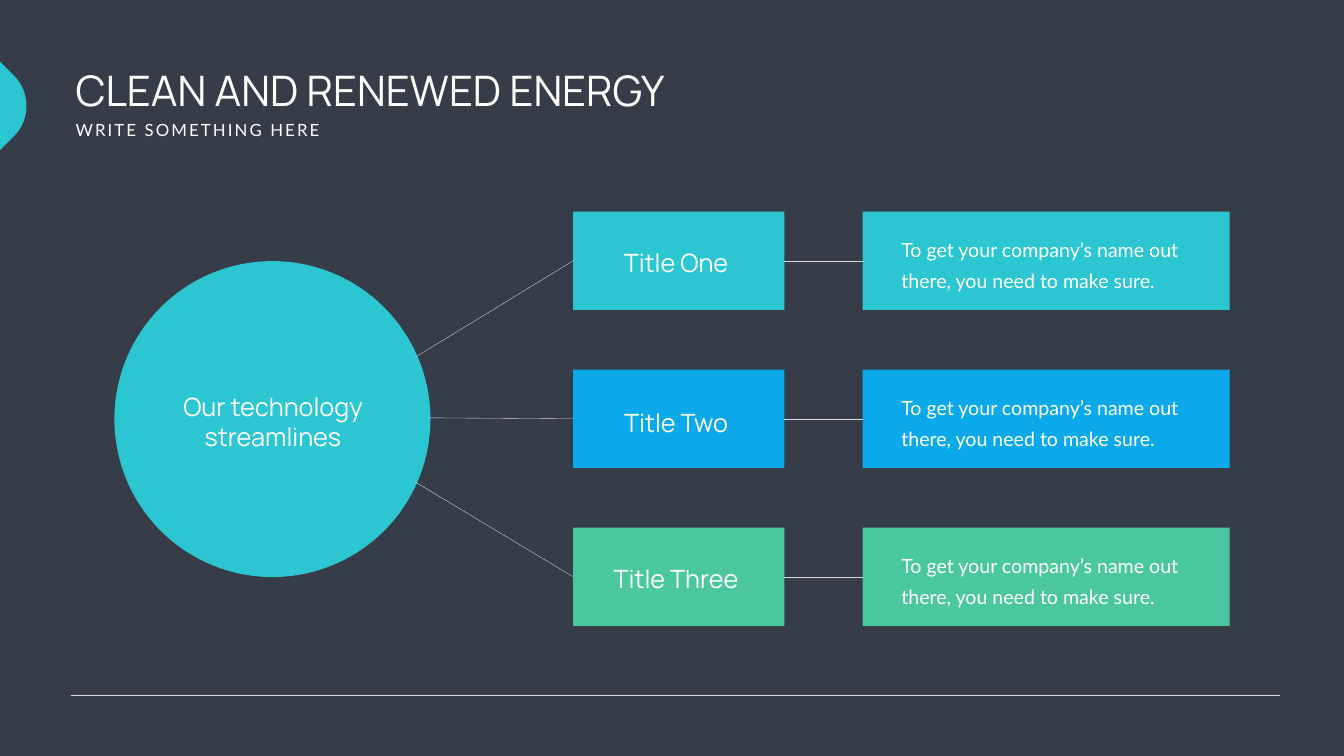
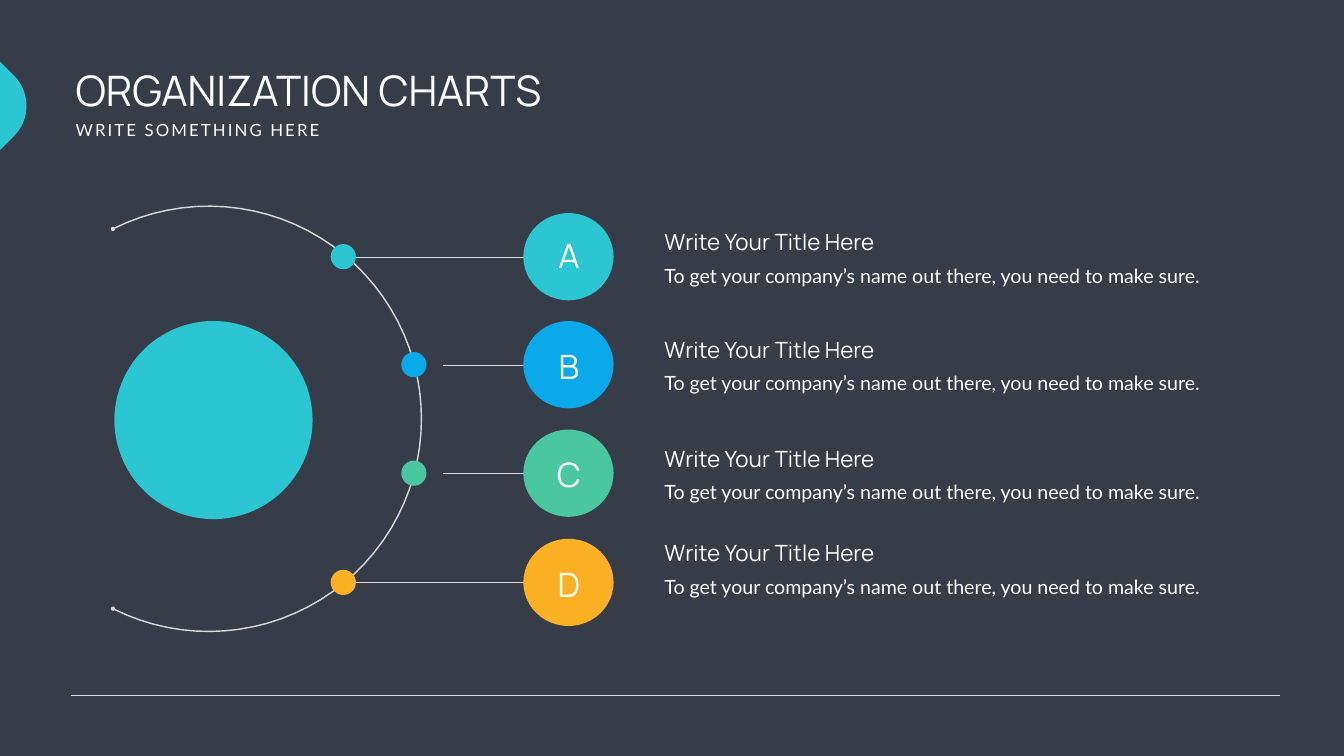
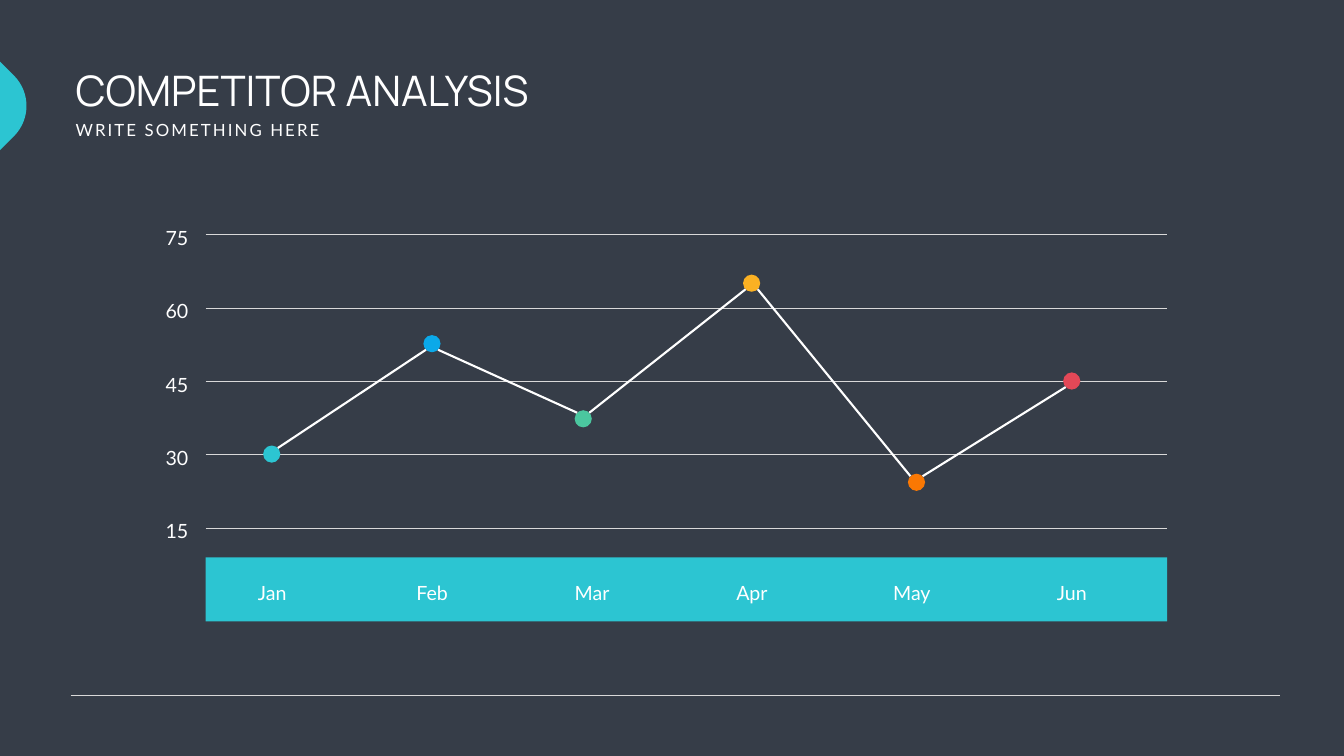
from dataclasses import dataclass
from math import copysign, cos, radians, sin

from lxml import etree
from pptx import Presentation
from pptx.dml.color import RGBColor
from pptx.enum.shapes import MSO_CONNECTOR as CONN, MSO_SHAPE as SHAPE
from pptx.enum.text import MSO_AUTO_SIZE as AUTOSIZE, PP_ALIGN as ALIGN
from pptx.oxml.ns import qn
from pptx.util import Pt


@dataclass(frozen=True)
class Theme:
    bg: str = "363D48"
    white: str = "FFFFFF"
    rule: str = "D9D9D9"
    teal: str = "2CC5D2"
    blue: str = "0BA9E9"
    green: str = "4BC79F"
    amber: str = "FBB123"
    orange: str = "FA7803"
    red: str = "E34857"
    head_font: str = "Manrope"
    body_font: str = "Lato"
    title: int = 60
    letter: int = 48
    label: int = 36
    item: int = 32
    body: int = 28
    subtitle: int = 24
    leading: int = 43


T = Theme()

# Content
SUBTITLE = "WRITE SOMETHING HERE"
BLURB = "To get your company’s name out there, you need to make sure."

ENERGY_TITLE = "CLEAN AND RENEWED ENERGY"
HUB = "Our technology streamlines"
# label, colour, label top, spoke end on the hub
BRANCHES = [
    ("Title One", T.teal, 350, (592.6, 510.5)),
    ("Title Two", T.blue, 578.2, (612.7, 596.9)),
    ("Title Three", T.green, 801.4, (592.6, 688.3)),
]

ORG_TITLE = "ORGANIZATION CHARTS"
ITEM = "Write Your Title Here"
# letter, colour, dot left, line start, row centre, letter top, item top
ORG_ROWS = [
    ("A", T.teal, 472.3, 508.3, 366.7, 332.6, 322.6),
    ("B", T.blue, 573.1, 632.9, 521, 491, 475.9),
    ("C", T.green, 573.1, 632.9, 676, 645.1, 632.2),
    ("D", T.amber, 472.3, 508.3, 832, 801.4, 766.8),
]

ANALYSIS_TITLE = "COMPETITOR ANALYSIS"
SCALE = ["75", "60", "45", "30", "15"]
# month, dot centre, dot colour
MONTHS = [
    ("Jan", (388.1, 648.7), T.teal),
    ("Feb", (617, 491), T.blue),
    ("Mar", (833, 598.3), T.green),
    ("Apr", (1073.5, 404.6), T.amber),
    ("May", (1309, 689), T.orange),
    ("Jun", (1530.7, 544.3), T.red),
]


# Drawing helpers
def rgb(color):
    return RGBColor.from_string(color)


def add_text(s, text, x, y, w, h, *, size=T.body, font=T.body_font,
             align=ALIGN.LEFT, wrap=True, leading=None, spacing=None):
    tf = s.shapes.add_textbox(Pt(x), Pt(y), Pt(w), Pt(h)).text_frame
    tf.word_wrap = wrap
    tf.auto_size = AUTOSIZE.SHAPE_TO_FIT_TEXT
    p = tf.paragraphs[0]
    p.alignment = align
    if leading:
        p.line_spacing = Pt(leading)
    r = p.add_run()
    r.text = text
    r.font.size, r.font.name = Pt(size), font
    r.font.color.rgb = rgb(T.white)
    if spacing:
        r._r.get_or_add_rPr().set("spc", str(spacing * 100))


def paint(sp, color):
    sp.fill.solid()
    sp.fill.fore_color.rgb = rgb(color)
    sp.line.fill.background()
    sp.shadow.inherit = False
    return sp


def add_block(s, kind, x, y, w, h, color):
    return paint(s.shapes.add_shape(kind, Pt(x), Pt(y), Pt(w), Pt(h)), color)


def add_line(s, x1, y1, x2, y2, color=T.rule, width=0.5):
    ln = s.shapes.add_connector(CONN.STRAIGHT, Pt(x1), Pt(y1), Pt(x2), Pt(y2))
    ln.line.color.rgb = rgb(color)
    ln.line.width = Pt(width)
    etree.SubElement(ln._element.spPr, qn("a:effectLst"))
    return ln


def arc_points(cx, cy, radius, start, end, steps=60):
    angles = [radians(start + (end - start) * i / steps) for i in range(steps + 1)]
    return [(cx + radius * cos(a), cy + radius * sin(a)) for a in angles]


def add_outline(s, points, close):
    pts = [(Pt(x), Pt(y)) for x, y in points]
    builder = s.shapes.build_freeform(*pts[0])
    builder.add_line_segments(pts[1:], close=close)
    return builder.convert_to_shape()


def new_slide(prs, title):
    """Background, title pair, side tab and footer rule."""
    s = prs.slides.add_slide(prs.slide_layouts[6])
    s.background.fill.solid()
    s.background.fill.fore_color.rgb = rgb(T.bg)
    add_text(s, title, 100.8, 89.3, 1156.3, 80, size=T.title, font=T.head_font)
    add_text(s, SUBTITLE, 100.8, 167.8, 370, 36, size=T.subtitle, wrap=False, spacing=3)
    x, y, side, radius = -44.64, 106.56, 89.3, 61.2
    corner = arc_points(x + radius, y + side - radius, radius, 180, 90)
    tab = paint(add_outline(s, [(x, y), *corner, (x + side, y + side)], True), T.teal)
    tab.rotation = 225
    add_line(s, 100.8, 992.9, 1828.8, 992.9)
    return s


# Slides
def energy_slide(prs):
    s = new_slide(prs, ENERGY_TITLE)
    top, pitch, height = 302.4, 225.7, 140.4
    add_block(s, SHAPE.OVAL, 163.4, 373, 451.4, 451.4, T.teal)
    add_text(s, HUB, 242.6, 555.8, 294.5, 94.3, size=T.label, font=T.head_font,
             align=ALIGN.CENTER)
    for i, (label, color, label_top, spoke) in enumerate(BRANCHES):
        y = top + i * pitch
        mid = y + height / 2
        name = add_block(s, SHAPE.RECTANGLE, 818.6, y, 301.7, height, color)
        detail = add_block(s, SHAPE.RECTANGLE, 1231.9, y, 524.2, height, color)
        link = add_line(s, 1120.3, mid, 1231.9, mid)
        link.begin_connect(name, 3)
        link.end_connect(detail, 1)
        add_line(s, 818.6, mid, *spoke).begin_connect(name, 1)
        add_text(s, label, 842.4, label_top, 246.2, 51, size=T.label,
                 font=T.head_font, align=ALIGN.CENTER)
        add_text(s, BLURB, 1280.2, y + 25.2, 427.7, 90, leading=T.leading)


def org_slide(prs):
    s = new_slide(prs, ORG_TITLE)
    # Open ring with a round end on each side
    ring = add_outline(s, arc_points(298.1, 598.3, 303.8, 116.75, -116.75), False)
    ring.fill.background()
    ring.line.color.rgb = rgb(T.rule)
    ring.line.width = Pt(2)
    ring.shadow.inherit = False
    for end in ("a:headEnd", "a:tailEnd"):
        etree.SubElement(ring.line._get_or_add_ln(), qn(end), type="oval")
    add_block(s, SHAPE.OVAL, 163.4, 458.6, 283, 283, T.teal)

    dot, badge_w, badge_h = 36, 128.9, 124.6
    for letter, color, dot_x, line_x, mid, letter_top, item_top in ORG_ROWS:
        add_line(s, line_x, mid, 786.2, mid)
        add_block(s, SHAPE.OVAL, dot_x, mid - dot / 2, dot, dot, color)
        add_block(s, SHAPE.OVAL, 747.4, mid - badge_h / 2, badge_w, badge_h, color)
        add_text(s, letter, 761.8, letter_top, 101.5, 65.5, size=T.letter,
                 font=T.head_font, align=ALIGN.CENTER)
        add_text(s, ITEM, 941.8, item_top, 352.8, 46, size=T.item,
                 font=T.head_font, wrap=False)
        add_text(s, BLURB, 941.8, item_top + 41, 816.5, 46.8, leading=T.leading)


def analysis_slide(prs):
    s = new_slide(prs, ANALYSIS_TITLE)
    left, width, label_w, label_h = 293.8, 1373, 83.5, 46.8
    centred = dict(align=ALIGN.CENTER, leading=T.leading)
    # Scale and month band
    for i, value in enumerate(SCALE):
        y = 334.8 + i * 104.8
        add_line(s, left, y, left + width, y)
        add_text(s, value, 211, y - 25.2, label_w, label_h, **centred)
    add_block(s, SHAPE.RECTANGLE, left, 796.3, width, 91.4, T.teal)
    # Dots, then the segments between their facing edges
    dot = 24.5
    for i, (month, (cx, cy), color) in enumerate(MONTHS):
        add_text(s, month, 347 + i * 228.4, 817.2, label_w, label_h, **centred)
        add_block(s, SHAPE.OVAL, cx - dot / 2, cy - dot / 2, dot, dot, color)
    inset = dot / 2 * cos(radians(45))
    for (_, (x1, y1), _), (_, (x2, y2), _) in zip(MONTHS, MONTHS[1:]):
        dy = copysign(inset, y2 - y1)
        add_line(s, x1 + inset, y1 + dy, x2 - inset, y2 - dy, T.white, 3)


def main():
    prs = Presentation()
    prs.slide_width, prs.slide_height = Pt(1919.52), Pt(1080)
    energy_slide(prs)
    org_slide(prs)
    analysis_slide(prs)
    prs.save("out.pptx")


if __name__ == "__main__":
    main()
